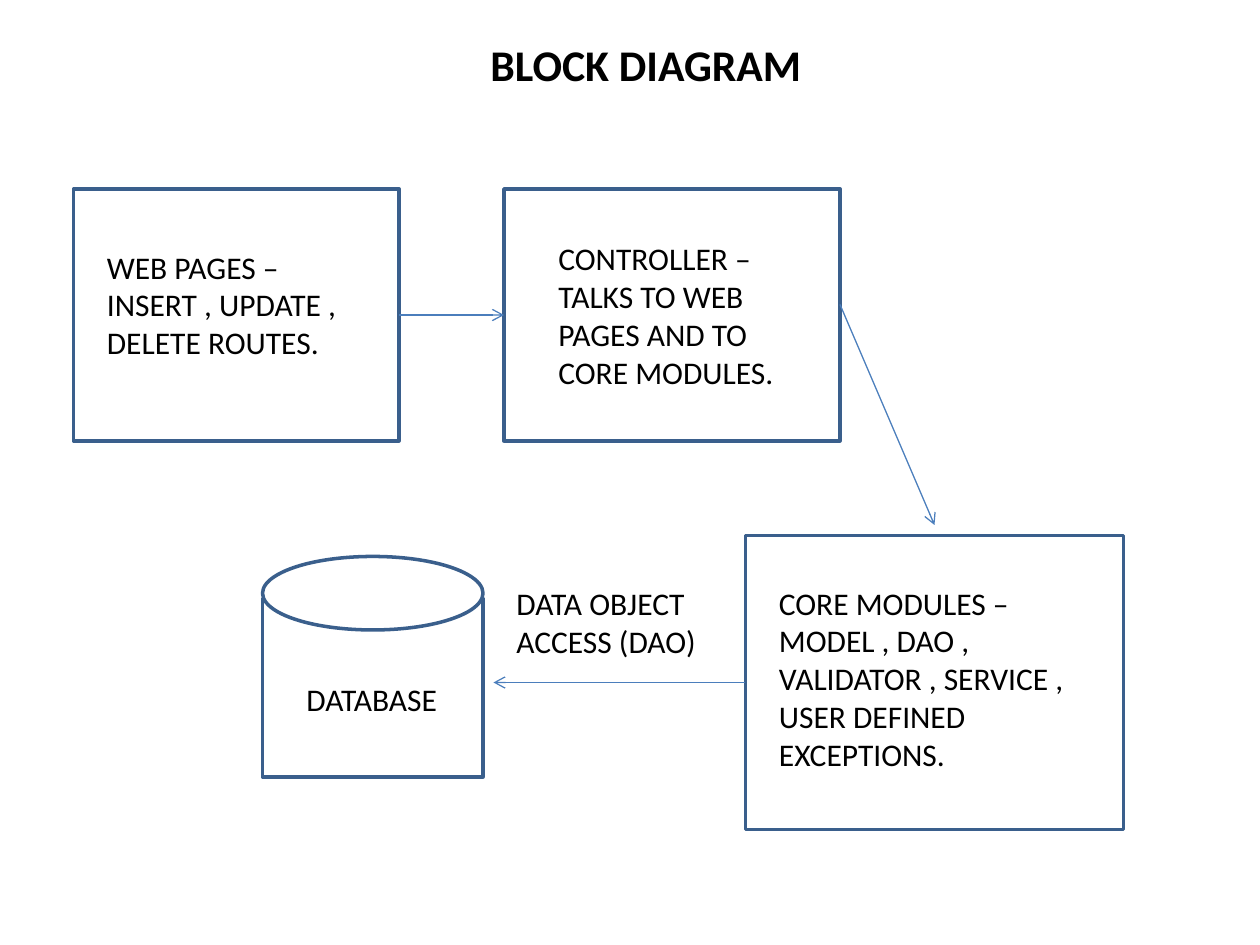
from lxml.etree import SubElement
from pptx import Presentation
from pptx.dml.color import RGBColor
from pptx.enum.shapes import MSO_CONNECTOR, MSO_SHAPE
from pptx.enum.text import PP_ALIGN
from pptx.oxml.ns import qn
from pptx.util import Pt

PX = 7620  # 120 px to the inch
COLORS = {"paper": "FFFFFF", "outline": "3A5F8C", "arrow": "4B7EBC", "text": "000000"}


def color(name):
    return RGBColor.from_string(COLORS[name])


def add_label(page, text, bounds, size=18, bold=False, align=PP_ALIGN.LEFT):
    box = page.shapes.add_textbox(*(v * PX for v in bounds))
    box.text_frame.word_wrap = True
    paragraph = box.text_frame.paragraphs[0]
    paragraph.text = text
    paragraph.alignment = align
    font = paragraph.font
    font.name, font.size, font.bold = "Calibri", Pt(size), bold
    font.color.rgb = color("text")


deck = Presentation()
deck.slide_width, deck.slide_height = 1200 * PX, 900 * PX
page = deck.slides.add_slide(deck.slide_layouts[6])

add_label(page, "BLOCK DIAGRAM", (90, 30, 1050, 62), 25, True, PP_ALIGN.CENTER)

# Blocks, then the database cylinder: a body with its lid on top
outlines = [
    (MSO_SHAPE.RECTANGLE, (70, 180, 310, 240)),
    (MSO_SHAPE.RECTANGLE, (480, 180, 320, 240)),
    (MSO_SHAPE.RECTANGLE, (710, 510, 360, 280)),
    (MSO_SHAPE.RECTANGLE, (250, 570, 210, 170)),
    (MSO_SHAPE.OVAL, (250, 530, 210, 70)),
]
for kind, bounds in outlines:
    block = page.shapes.add_shape(kind, *(v * PX for v in bounds))
    block.shadow.inherit = False
    block.fill.solid()
    block.fill.fore_color.rgb = color("paper")
    block.line.color.rgb = color("outline")
    block.line.width = Pt(2)

labels = [
    ("WEB PAGES – INSERT , UPDATE , DELETE ROUTES.", (90, 230, 260, 121)),
    ("CONTROLLER – \nTALKS TO WEB PAGES AND TO CORE MODULES.", (520, 222, 270, 157)),
    ("CORE MODULES – MODEL , DAO , VALIDATOR , SERVICE , USER DEFINED EXCEPTIONS.",
     (730, 550, 320, 194)),
    ("DATABASE", (280, 642, 190, 48)),
    ("DATA OBJECT ACCESS (DAO)", (480, 550, 210, 85)),
]
for text, bounds in labels:
    add_label(page, text, bounds)

arrows = [
    (380, 300, 480, 300),  # web pages to controller
    (800, 290, 890, 500),  # controller to core modules
    (710, 650, 470, 650),  # core modules to database
]
for ends in arrows:
    arrow = page.shapes.add_connector(MSO_CONNECTOR.STRAIGHT, *(v * PX for v in ends))
    arrow.line.color.rgb = color("arrow")
    arrow.line.width = Pt(0.75)
    SubElement(arrow.line._get_or_add_ln(), qn("a:tailEnd"), type="arrow")
    SubElement(arrow._element.spPr, qn("a:effectLst"))

deck.save("out.pptx")
